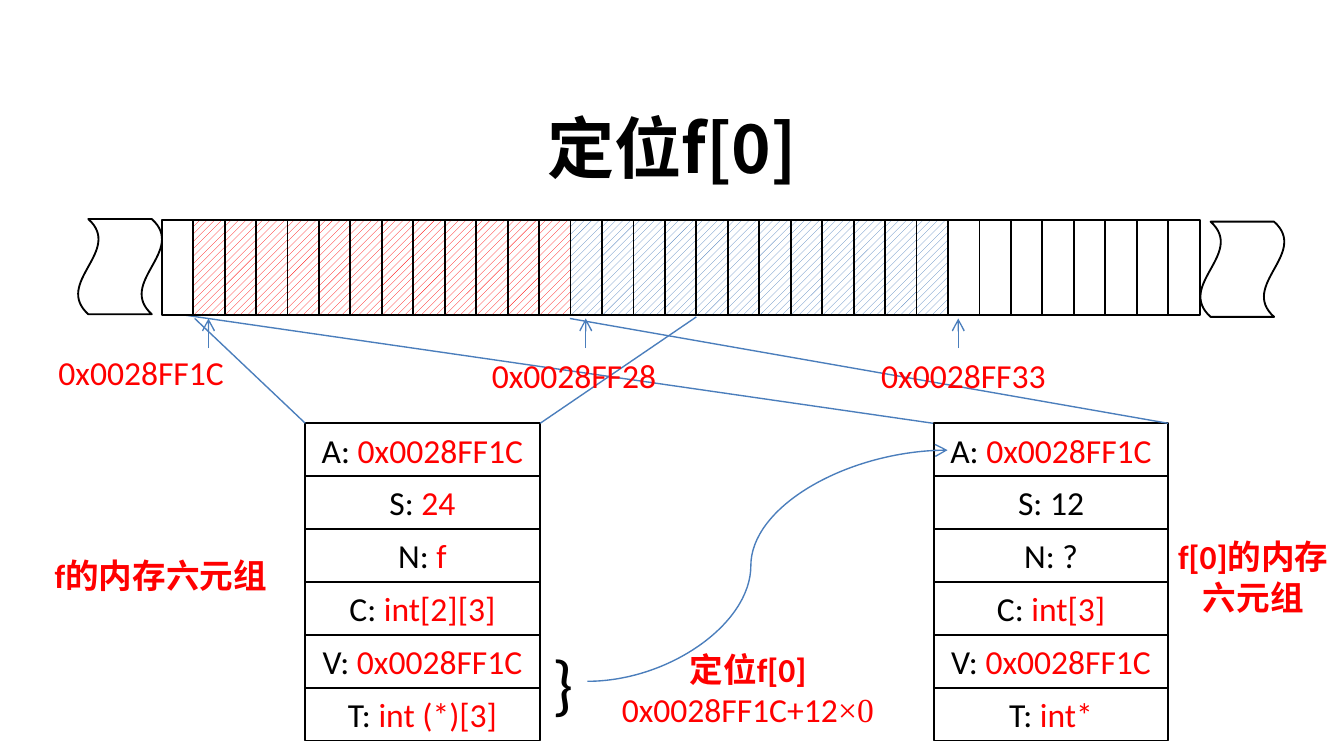
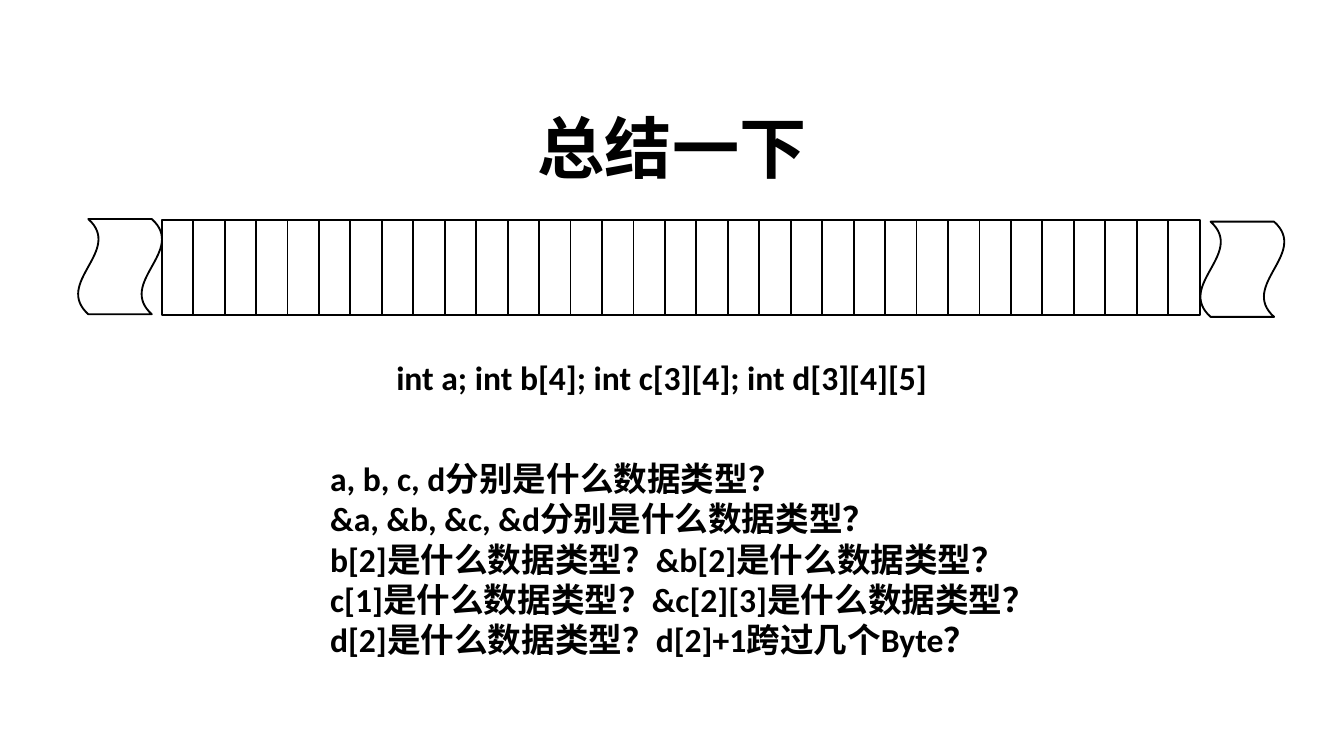
from lxml import etree
from pptx import Presentation
from pptx.dml.color import RGBColor
from pptx.enum import dml, shapes, text
from pptx.oxml import ns
from pptx.util import Cm, Pt

KIND = shapes.MSO_SHAPE
LINK = shapes.MSO_CONNECTOR
MID = text.PP_ALIGN.CENTER
LEFT = text.PP_ALIGN.LEFT

BLACK, RED, BLUE, WHITE, RAY = (
    RGBColor.from_string(c)
    for c in ("000000", "FF0000", "4F81BD", "FFFFFF", "4B7EBC"))


def style(ink=BLACK, size=18, bold=False, name="Calibri"):
    return {"ink": ink, "font": {"size": Pt(size), "bold": bold, "name": name}}


THEME = {
    "cjk": "Noto Sans CJK SC",
    "title": style(size=36, bold=True, name="Noto Sans CJK SC"),
    "plain": style(),
    "strong": style(bold=True),
    "value": style(RED),
    "label": style(RED, bold=True),
    "times": style(RED, name="Times New Roman"),
    "brace": style(size=36),
    "edge": Pt(1),
    "thin": Pt(0.75),
}

# Slide 1. Lengths are centimetres; boxes are left, top, width, height.
HEAD = "定位f[0]"
BANDS = [(1, WHITE), (12, RED), (12, BLUE), (8, WHITE)]
TUPLES = [
    (5.77, [("A: ", "0x0028FF1C"), ("S: ", "24"), ("N: ", "f"),
            ("C: ", "int[2][3]"), ("V: ", "0x0028FF1C"),
            ("T: ", "int (*)[3]")]),
    (17.65, [("A: ", "0x0028FF1C"), ("S: 12", ""), ("N: ?", ""),
             ("C: ", "int[3]"), ("V: ", "0x0028FF1C"), ("T: ", "int*")]),
]
RAYS = [
    (5.77, 8, 3.68, 6.02), (10.21, 8, 13.16, 5.99),
    (17.63, 8, 3.38, 5.94), (22.07, 8, 10.77, 6.02),
]
CURVE = (11.1, 12.88, 17.91, 8.51)
MARKS = [3.94, 11.07, 18.11]
NOTES = [
    ((0.74, 10.36, 4.6, 1.02), [[("f的内存六元组", "label")]], MID, True),
    ((21.97, 10.01, 3.43, 1.8), [[("f[0]的内存六元组", "label")]], MID, True),
    ((10.19, 11.99, 0.91, 1.8), [[("}", "brace")]], LEFT, False),
    ((11.33, 12.14, 5.61, 1.8),
     [[("定位f[0]", "label")],
      [("0x0028FF1C+12", "value"), ("×0", "times")]], MID, False),
    ((0.79, 6.53, 3.76, 1.02), [[("0x0028FF1C", "value")]], MID, False),
    ((9.02, 6.58, 3.66, 1.02), [[("0x0028FF28", "value")]], MID, False),
    ((16.38, 6.58, 3.66, 1.02), [[("0x0028FF33", "value")]], MID, False),
]

# Slide 2
RECAP = "总结一下"
BLANK = [(33, WHITE)]
DECL = "int a; int b[4]; int c[3][4]; int d[3][4][5]"
ASKS = [
    "a, b, c, d分别是什么数据类型？",
    "&a, &b, &c, &d分别是什么数据类型？",
    "b[2]是什么数据类型？&b[2]是什么数据类型？",
    "c[1]是什么数据类型？&c[2][3]是什么数据类型？",
    "d[2]是什么数据类型？d[2]+1跨过几个Byte？",
]

# Shared memory strip: cells stand on end, so each box is turned
WAVES = [(22.58, 4.29, 1.8, 1.6), (1.37, 4.24, 1.8, 1.6)]
CELL = (2.46, 4.75, 1.8, 0.61)
STEP = 19.02 / 32
ROW = (8, 4.43, 1)  # top, width, height


def cm(*nums):
    return [Cm(n) for n in nums]


def write(frame, paras, align):
    for i, runs in enumerate(paras):
        para = frame.paragraphs[0] if i == 0 else frame.add_paragraph()
        para.alignment = align
        for words, key in runs:
            if not words:
                continue
            run = para.add_run()
            run.text = words
            for attr, val in THEME[key]["font"].items():
                setattr(run.font, attr, val)
            run.font.color.rgb = THEME[key]["ink"]
            etree.SubElement(run.font._element, ns.qn("a:ea"),
                             typeface=THEME["cjk"])


def note(slide, box, paras, align=LEFT, wrap=True):
    frame = slide.shapes.add_textbox(*cm(*box)).text_frame
    frame.word_wrap = wrap
    frame.auto_size = text.MSO_AUTO_SIZE.SHAPE_TO_FIT_TEXT
    write(frame, paras, align)


def block(slide, kind, box, turn=0, fill=None):
    """Add an outlined shape; a fill other than white is hatched."""
    shape = slide.shapes.add_shape(kind, *cm(*box))
    shape.shadow.inherit = False
    shape.rotation = turn
    shape.line.color.rgb = BLACK
    shape.line.width = THEME["edge"]
    if fill is None:
        shape.fill.background()
    elif fill == WHITE:
        shape.fill.solid()
        shape.fill.fore_color.rgb = fill
    else:
        shape.fill.patterned()
        shape.fill.pattern = dml.MSO_PATTERN.WIDE_UPWARD_DIAGONAL
        shape.fill.fore_color.rgb = fill
        shape.fill.back_color.rgb = WHITE
    return shape


def link(slide, ends, kind=LINK.STRAIGHT, arrow=False):
    line = slide.shapes.add_connector(kind, *cm(*ends))
    line.line.color.rgb = RAY
    line.line.width = THEME["thin"]
    props = line._element.spPr
    if arrow:
        etree.SubElement(props.find(ns.qn("a:ln")), ns.qn("a:tailEnd"),
                         type="arrow")
    etree.SubElement(props, ns.qn("a:effectLst"))
    return line


def strip(slide, bands):
    left, top, wide, high = CELL
    fills = [fill for count, fill in bands for _ in range(count)]
    for i, fill in enumerate(fills):
        block(slide, KIND.RECTANGLE, (left + i * STEP, top, wide, high),
              90, fill)
    for box in WAVES:
        block(slide, KIND.WAVE, box, 270, WHITE)


def start(deck, words):
    """Add a slide with its title."""
    slide = deck.slides.add_slide(deck.slide_layouts[5])
    title = slide.shapes.title
    title.left, title.top, title.width, title.height = cm(
        1.27, 1.83, 22.86, 1.9)
    title.text_frame.vertical_anchor = text.MSO_ANCHOR.MIDDLE
    write(title.text_frame, [[(words, "title")]], MID)
    return slide


def locate(deck):
    slide = start(deck, HEAD)
    top, wide, high = ROW
    for left, rows in TUPLES:
        for i, (name, value) in enumerate(rows):
            row = block(slide, KIND.RECTANGLE,
                        (left, top + i * high, wide, high))
            write(row.text_frame, [[(name, "plain"), (value, "value")]], MID)
    for ends in RAYS:
        link(slide, ends)
    curve = link(slide, CURVE, LINK.CURVE, True)
    bend = curve._element.spPr.find(ns.qn("a:prstGeom")).find(ns.qn("a:avLst"))
    etree.SubElement(bend, ns.qn("a:gd"), name="adj1", fmla="val 45400")
    strip(slide, BANDS)
    for x in MARKS:
        link(slide, (x, 6.58, x, 6.02), arrow=True)
    for item in NOTES:
        note(slide, *item)


def recap(deck):
    slide = start(deck, RECAP)
    strip(slide, BLANK)
    note(slide, (7.24, 6.63, 12.09, 1.02), [[(DECL, "strong")]])
    note(slide, (5.99, 8.53, 14.83, 4.11), [[(ask, "strong")] for ask in ASKS])


def main():
    deck = Presentation()
    deck.slide_width, deck.slide_height = cm(25.4, 14.29)
    locate(deck)
    recap(deck)
    deck.save("out.pptx")


if __name__ == "__main__":
    main()
